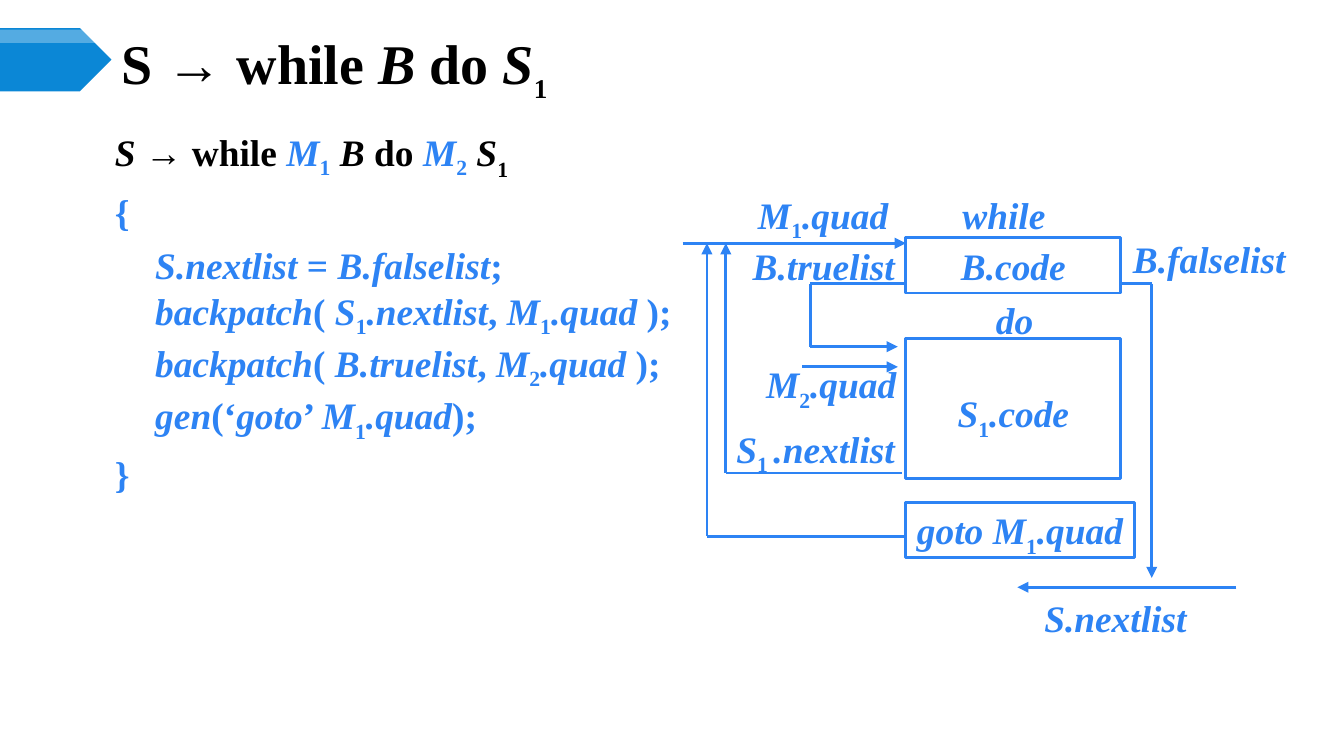
from dataclasses import dataclass
from itertools import pairwise

from lxml.etree import SubElement
from pptx import Presentation
from pptx.dml.color import RGBColor
from pptx.enum.shapes import MSO_CONNECTOR, MSO_SHAPE
from pptx.enum.text import MSO_ANCHOR, MSO_AUTO_SIZE, PP_ALIGN
from pptx.oxml.ns import qn
from pptx.util import Inches, Pt

BLACK = RGBColor(0x00, 0x00, 0x00)
BLUE = RGBColor(0x2D, 0x83, 0xF4)
BANNER = RGBColor(0x0B, 0x87, 0xD6)
WHITE = RGBColor(0xFF, 0xFF, 0xFF)

FONT = "Times New Roman"
COLUMNS = 100
CODE_LEFT, CODE_WIDTH = 67.4, 16
LABEL_HEIGHT = 4.1
ENTRY_ROW = 18.1
JUMP_ROW = 21.1
INDENT = 3


@dataclass
class Piece:
    text: str
    italic: bool = True
    color: RGBColor = BLUE
    base: int = 0
    size: int = 20


def cell(count):
    return Inches(count / 10)


def plain(text, color=BLUE):
    return Piece(text, False, color)


def indexed(name, index, color=BLUE, tail="", base=-25):
    pieces = [Piece(name, True, color), Piece(index, False, color, base)]
    return pieces + [Piece(tail, True, color)] if tail else pieces


def write_pieces(paragraph, pieces):
    for piece in pieces:
        run = paragraph.add_run()
        run.text = piece.text
        font = run.font
        font.name, font.size, font.bold = FONT, Pt(piece.size), True
        font.italic = piece.italic
        font.color.rgb = piece.color
        if piece.base:
            run._r.get_or_add_rPr().set("baseline", str(piece.base * 1000))


def prepare_frame(frame, anchor):
    frame.word_wrap = True
    frame.auto_size = MSO_AUTO_SIZE.NONE
    frame.vertical_anchor = anchor
    frame.margin_left = frame.margin_right = Inches(0.07)
    frame.margin_top = frame.margin_bottom = Inches(0.04)


def place(holder, left, top, width, height):
    holder.left, holder.top = cell(left), cell(top)
    holder.width, holder.height = cell(width), cell(height)


def add_title(slide):
    title = slide.shapes.title
    place(title, 8.34, 2.95, 86.7, 3.9)
    prepare_frame(title.text_frame, MSO_ANCHOR.MIDDLE)
    heading = title.text_frame.paragraphs[0]
    heading.alignment = PP_ALIGN.LEFT
    pieces = [plain("S → while ", BLACK), Piece("B", color=BLACK), plain(" do ", BLACK),
              *indexed("S", "1", BLACK, base=-30)]
    for piece in pieces:
        piece.size = 25 if piece.base else 30
    write_pieces(heading, pieces)


def add_rule(slide, lines):
    body = slide.placeholders[1]
    place(body, 7.85, 9.25, 64.8, 35.3)
    frame = body.text_frame
    prepare_frame(frame, MSO_ANCHOR.TOP)
    for number, (indented, pieces) in enumerate(lines):
        paragraph = frame.add_paragraph() if number else frame.paragraphs[0]
        paragraph.alignment = PP_ALIGN.JUSTIFY
        paragraph.line_spacing = Pt(28)
        paragraph.space_before = Pt(0)
        properties = paragraph._p.get_or_add_pPr()
        properties.set("marL", str(cell(INDENT)))
        properties.set("indent", "0" if indented else str(-cell(INDENT)))
        SubElement(properties, qn("a:buNone"))
        write_pieces(paragraph, pieces)


def add_banner(slide, top, height, color, opacity=100):
    banner = slide.shapes.add_shape(
        MSO_SHAPE.PENTAGON, 0, cell(top), cell(8.3), cell(height))
    banner.shadow.inherit = False
    banner.fill.solid()
    banner.fill.fore_color.rgb = color
    banner.line.fill.background()
    if opacity < 100:
        tint = banner._element.spPr.find(qn("a:solidFill"))[0]
        SubElement(tint, qn("a:alpha"), val=str(opacity * 1000))


def add_label(slide, left, top, width, pieces, alignment=PP_ALIGN.LEFT):
    label = slide.shapes.add_textbox(cell(left), cell(top), cell(width), cell(LABEL_HEIGHT))
    prepare_frame(label.text_frame, MSO_ANCHOR.TOP)
    paragraph = label.text_frame.paragraphs[0]
    paragraph.alignment = alignment
    write_pieces(paragraph, pieces)


def add_code_box(slide, top, pieces, width=CODE_WIDTH, height=LABEL_HEIGHT, drop=0.04):
    box = slide.shapes.add_shape(
        MSO_SHAPE.RECTANGLE, cell(CODE_LEFT), cell(top), cell(width), cell(height))
    box.shadow.inherit = False
    box.fill.solid()
    box.fill.fore_color.rgb = WHITE
    box.line.color.rgb = BLUE
    box.line.width = Pt(1.5)
    prepare_frame(box.text_frame, MSO_ANCHOR.MIDDLE)
    box.text_frame.margin_top = Inches(drop)
    paragraph = box.text_frame.paragraphs[0]
    paragraph.alignment = PP_ALIGN.CENTER
    write_pieces(paragraph, pieces)


def add_route(slide, *stops, arrow=True):
    for start, end in pairwise(stops):
        leg = slide.shapes.add_connector(
            MSO_CONNECTOR.STRAIGHT, *map(cell, start), *map(cell, end))
        leg.line.color.rgb = BLUE
        leg.line.width = Pt(1.5)
        if end == stops[-1] and arrow:
            SubElement(leg.line._get_or_add_ln(), qn("a:tailEnd"), type="triangle")
        SubElement(leg._element.spPr, qn("a:effectLst"))


def add_flow(slide):
    add_route(slide, (50.8, ENTRY_ROW), (CODE_LEFT, ENTRY_ROW))
    add_route(slide, (59.7, 27.3), (66.8, 27.3))
    add_route(slide, (92, 43.7), (75.7, 43.7))
    add_route(slide, (68, JUMP_ROW), (60.3, JUMP_ROW), (60.3, 25.8), (66.8, 25.8))
    add_route(slide, (82.1, JUMP_ROW), (85.7, JUMP_ROW), (85.7, 43))
    add_route(slide, (67.1, 35.2), (54, 35.2), (54, ENTRY_ROW))
    add_route(slide, (68.5, 39.9), (52.6, 39.9), (52.6, ENTRY_ROW))

    add_code_box(slide, 17.7, [Piece("B.code")])
    add_code_box(slide, 25.2, indexed("S", "1", tail=".code"), height=10.4, drop=0.15)
    add_code_box(slide, 37.4, indexed("goto M", "1", tail=".quad"), width=17, drop=0.08)

    add_label(slide, 70.9, 13.9, 8.9, [Piece("while")])
    add_label(slide, 73.4, 21.7, 4.7, [Piece("do")])
    add_label(slide, 83.6, 17.2, 16.5, [Piece("B.falselist")])
    add_label(slide, 77, 43.9, 13.2, [Piece("S.nextlist")])
    add_label(slide, 50, 13.9, 16.8, indexed("M", "1", tail=".quad"), PP_ALIGN.RIGHT)
    add_label(slide, 53.9, 17.7, 13.4, [Piece("B.truelist")], PP_ALIGN.RIGHT)
    add_label(slide, 56, 26.5, 11.4, indexed("M", "2", tail=".quad"), PP_ALIGN.RIGHT)
    add_label(slide, 53.1, 31.3, 14.2, indexed("S", "1 ", tail=".nextlist"), PP_ALIGN.RIGHT)


def main():
    deck = Presentation()
    deck.slide_width = cell(COLUMNS)
    deck.slide_height = deck.slide_width * 9 // 16
    slide = deck.slides.add_slide(deck.slide_layouts[1])
    add_banner(slide, 2.1, 4.7, BANNER)
    add_banner(slide, 2.2, 1, WHITE, opacity=30)
    add_title(slide)
    add_rule(slide, [
        (False, [Piece("S ", color=BLACK), plain("→ while ", BLACK), *indexed("M", "1"),
                 Piece(" B", color=BLACK), plain(" do ", BLACK), *indexed("M", "2"),
                 *indexed(" S", "1", BLACK, base=-30)]),
        (False, [plain("{")]),
        (True, [Piece("S.nextlist"), plain(" = "), Piece("B.falselist"), plain(";")]),
        (True, [Piece("backpatch"), plain("( "), *indexed("S", "1", tail=".nextlist"),
                plain(", "), *indexed("M", "1", tail=".quad"), plain(" );")]),
        (True, [Piece("backpatch"), plain("( "), Piece("B.truelist"),
                plain(", "), *indexed("M", "2", tail=".quad"), plain(" );")]),
        (True, [Piece("gen"), plain("(‘"), Piece("goto"), plain("’ "),
                *indexed("M", "1", tail=".quad"), plain(");")]),
        (False, [plain("}")]),
    ])
    add_flow(slide)
    deck.save("out.pptx")


if __name__ == "__main__":
    main()
